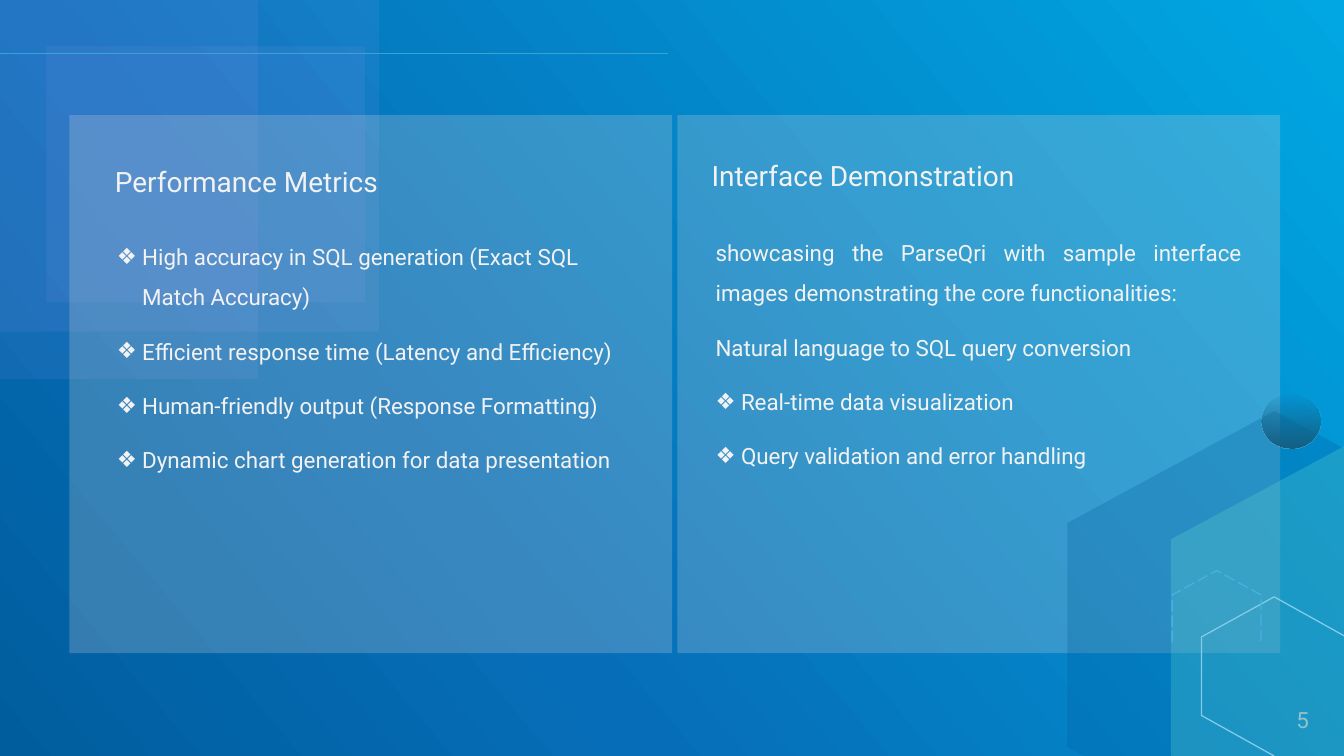
from lxml import etree
from pptx import Presentation
from pptx.dml.color import RGBColor
from pptx.enum.dml import MSO_LINE
from pptx.enum.shapes import MSO_CONNECTOR, MSO_SHAPE
from pptx.enum.text import MSO_ANCHOR, MSO_AUTO_SIZE, PP_ALIGN
from pptx.oxml.ns import qn
from pptx.util import Cm, Pt

RECTANGLE, OVAL = MSO_SHAPE.RECTANGLE, MSO_SHAPE.OVAL
STRAIGHT = MSO_CONNECTOR.STRAIGHT
LONG_DASH = MSO_LINE.LONG_DASH
TOP, MIDDLE = MSO_ANCHOR.TOP, MSO_ANCHOR.MIDDLE
FIXED, GROW = MSO_AUTO_SIZE.NONE, MSO_AUTO_SIZE.SHAPE_TO_FIT_TEXT
LEFT, CENTER, JUSTIFY = PP_ALIGN.LEFT, PP_ALIGN.CENTER, PP_ALIGN.JUSTIFY

SKY = RGBColor(0x00, 0xA7, 0xE2)
BLUE = RGBColor(0x06, 0x6E, 0xB8)
NAVY = RGBColor(0x00, 0x5D, 0x9D)
LILAC = RGBColor(0x9E, 0x9C, 0xF5)
MINT = RGBColor(0x68, 0xDC, 0xCF)
PALE_BLUE = RGBColor(0x83, 0xCB, 0xEB)
LIGHT_BLUE = RGBColor(0x46, 0xB1, 0xE1)
RULE_BLUE = RGBColor(0x38, 0xA4, 0xD4)
PETROL = RGBColor(0x15, 0x60, 0x82)
GREY = RGBColor(0xD9, 0xD9, 0xD9)
OFF_WHITE = RGBColor(0xF2, 0xF2, 0xF2)

FONT = "Roboto"
INDENT = Cm(0.64)

METRICS = [
    ("High accuracy in SQL generation (Exact SQL Match Accuracy)", True),
    ("Efficient response time (Latency and Efficiency)", True),
    ("Human-friendly output (Response Formatting)", True),
    ("Dynamic chart generation for data presentation", True),
]
DEMONSTRATION = [
    ("showcasing the ParseQri with sample interface images "
     "demonstrating the core functionalities:", False),
    ("Natural language to SQL query conversion", False),
    ("Real-time data visualization", True),
    ("Query validation and error handling", True),
]


def add_alpha(color_element, percent):
    etree.SubElement(color_element, qn("a:alpha"), val=str(percent * 1000))


def fill_gradient(fill, element, stops, angle):
    """Stops are (position %, colour, opacity %); the angle runs clockwise."""
    fill.gradient()
    fill.gradient_angle = 360 - angle
    stop_list = next(element.iter(qn("a:gsLst")))
    for default_stop in list(stop_list):
        stop_list.remove(default_stop)
    for position, color, opacity in stops:
        stop = etree.SubElement(stop_list, qn("a:gs"), pos=str(position * 1000))
        color_element = etree.SubElement(stop, qn("a:srgbClr"), val=str(color))
        if opacity < 100:
            add_alpha(color_element, opacity)


def fill_translucent(shape, color, opacity):
    shape.shadow.inherit = False
    shape.fill.solid()
    shape.fill.fore_color.rgb = color
    add_alpha(next(shape.element.spPr.iter(qn("a:srgbClr"))), opacity)
    shape.line.fill.background()


def add_pane(slide, box, color, opacity):
    pane = slide.shapes.add_shape(RECTANGLE, *map(Cm, box))
    fill_translucent(pane, color, opacity)


def add_outline(shapes, points, close):
    start, *others = [(Cm(x), Cm(y)) for x, y in points]
    builder = shapes.build_freeform(*start)
    builder.add_line_segments(others, close=close)
    return builder.convert_to_shape()


def add_stroke(shapes, points, color, width, dash=None):
    stroke = add_outline(shapes, points, close=False)
    stroke.shadow.inherit = False
    stroke.fill.background()
    stroke.line.color.rgb = color
    stroke.line.width = Pt(width)
    if dash is not None:
        stroke.line.dash_style = dash


def add_rule(slide):
    rule = slide.shapes.add_connector(STRAIGHT, 0, Cm(1.35), Cm(16.84), Cm(1.35))
    rule.line.color.rgb = RULE_BLUE
    rule.line.width = Pt(1)
    etree.SubElement(rule.element.spPr, qn("a:effectLst"))


def add_hexagons(slide):
    shapes = slide.shapes.add_group_shape().shapes
    navy = add_outline(shapes, [(32.11, 10.36), (26.9, 13.18), (26.9, 18.82),
                                (27.31, 19.05), (33.87, 19.05), (33.87, 11.3)], True)
    fill_translucent(navy, NAVY, 26)
    mint = add_outline(shapes, [(33.87, 11.25), (29.51, 13.59),
                                (29.51, 19.05), (33.87, 19.05)], True)
    fill_translucent(mint, MINT, 26)
    add_stroke(shapes, [(32.11, 19.05), (30.28, 18.03), (30.28, 16.05),
                        (32.11, 15.04), (33.87, 16.02)], PALE_BLUE, 0.9)
    add_stroke(shapes, [(29.54, 16.18), (29.54, 14.99), (30.66, 14.38),
                        (31.78, 14.99), (31.78, 16.18)], LIGHT_BLUE, 1, LONG_DASH)
    ball = shapes.add_shape(OVAL, Cm(31.8), Cm(9.93), Cm(1.47), Cm(1.37))
    ball.shadow.inherit = False
    fill_gradient(ball.fill, ball.element, [(0, PETROL, 0), (100, PETROL, 100)], 90)
    ball.line.fill.background()


def write_run(paragraph, text, size, color):
    run = paragraph.add_run()
    run.text = text
    run.font.name = FONT
    run.font.size = Pt(size)
    run.font.bold = False
    run.font.color.rgb = color


def place(slide, placeholder, box, auto_size):
    """Set a placeholder in its box, in front of the panes."""
    slide.shapes.element.append(placeholder.element)
    placeholder.left, placeholder.top, placeholder.width, placeholder.height = map(Cm, box)
    frame = placeholder.text_frame
    frame.word_wrap = True
    frame.auto_size = auto_size
    frame.vertical_anchor = TOP
    return frame


def set_heading(slide, placeholder, box, text):
    paragraph = place(slide, placeholder, box, GROW).paragraphs[0]
    paragraph.alignment = LEFT
    paragraph.space_before = Pt(0)
    write_run(paragraph, text, 20, OFF_WHITE)


def set_list(slide, placeholder, box, items, alignment):
    frame = place(slide, placeholder, box, FIXED)
    for index, (text, bulleted) in enumerate(items):
        paragraph = frame.add_paragraph() if index else frame.paragraphs[0]
        properties = paragraph._p.get_or_add_pPr()
        indent = INDENT if bulleted else 0
        properties.set("marL", str(indent))
        properties.set("indent", str(-indent))
        if bulleted:
            etree.SubElement(properties, qn("a:buChar"), char="❖")
        else:
            etree.SubElement(properties, qn("a:buNone"))
        paragraph.alignment = alignment
        paragraph.line_spacing = 1.5
        paragraph.space_before = Pt(10 if index else 0)
        write_run(paragraph, text, 16, OFF_WHITE)


def add_page_number(slide, number):
    box = slide.shapes.add_textbox(Cm(32.51), Cm(17.78), Cm(0.64), Cm(0.69))
    frame = box.text_frame
    frame.margin_left = frame.margin_right = frame.margin_top = frame.margin_bottom = 0
    frame.word_wrap = True
    frame.vertical_anchor = MIDDLE
    frame.paragraphs[0].alignment = CENTER
    write_run(frame.paragraphs[0], number, 16, GREY)


def main():
    deck = Presentation()
    deck.slide_width, deck.slide_height = Cm(33.87), Cm(19.05)
    slide = deck.slides.add_slide(deck.slide_layouts.get_by_name("Comparison"))
    fill_gradient(slide.background.fill, slide.element,
                  [(0, SKY, 100), (67, BLUE, 100), (100, NAVY, 100)], 140)
    _, spare_heading, metrics, demo_heading, demonstration = slide.placeholders
    slide.shapes.element.remove(spare_heading.element)

    add_page_number(slide, "5")
    for box in [(0, 0, 6.5, 9.55), (0, 0, 9.55, 8.36), (1.17, 1.17, 8.03, 6.45)]:
        add_pane(slide, box, LILAC, 10)
    add_rule(slide)
    for left in (1.75, 17.07):
        add_pane(slide, (left, 2.9, 15.19, 13.56), GREY, 24)
    add_hexagons(slide)

    set_heading(slide, slide.shapes.title, (2.64, 4.01, 8.2, 1.12), "Performance Metrics")
    set_heading(slide, demo_heading, (17.68, 3.86, 10.13, 1.12), "Interface Demonstration")
    set_list(slide, metrics, (2.69, 5.66, 13.56, 7.72), METRICS, LEFT)
    set_list(slide, demonstration, (17.78, 5.56, 13.77, 10.97), DEMONSTRATION, JUSTIFY)
    deck.save("out.pptx")


if __name__ == "__main__":
    main()
